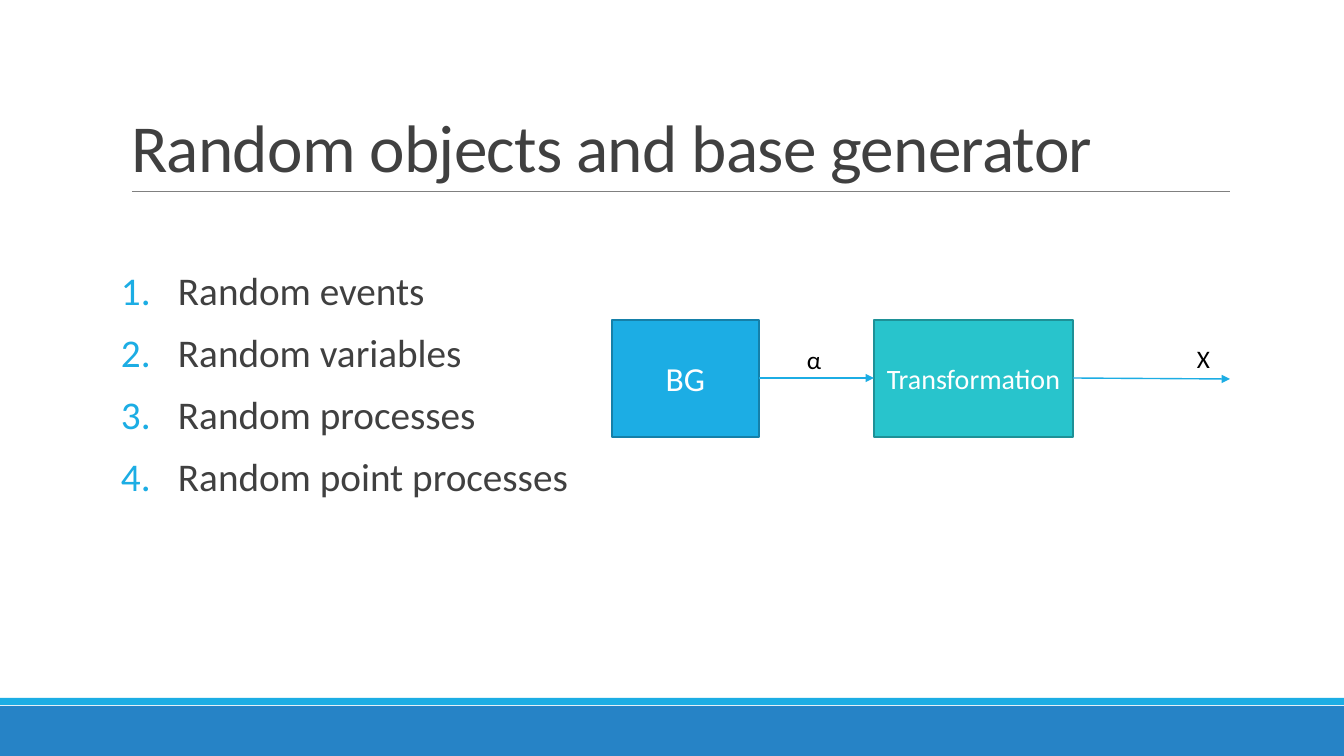
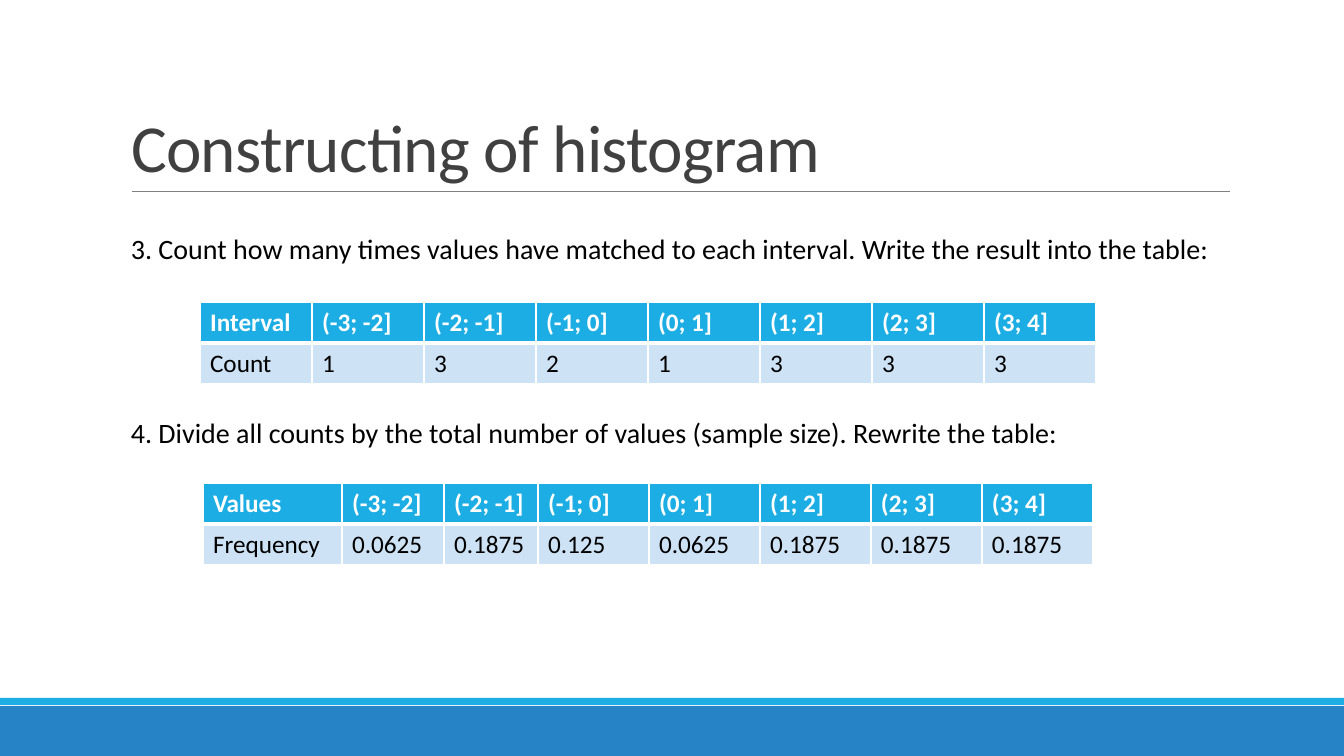
import pptx
import pptx.util
import pptx.dml.color
import pptx.enum.shapes
import pptx.enum.text
import pptx.oxml
import pptx.oxml.ns
from lxml import etree
from dataclasses import dataclass

PIXEL = pptx.util.Inches(1) / 100.8
ANCHOR = pptx.enum.text.MSO_ANCHOR
ALIGN = pptx.enum.text.PP_ALIGN
NO_FIT = pptx.enum.text.MSO_AUTO_SIZE.NONE


@dataclass(frozen=True)
class Theme:
    font: str = "Calibri"
    white: str = "FFFFFF"
    black: str = "000000"
    ink: str = "404040"
    rule: str = "808080"
    band: str = "2683C6"
    accent: str = "1CADE4"
    accent_edge: str = "1580A9"
    teal: str = "28C4CC"
    teal_edge: str = "1E9197"
    pale: str = "CDE3F5"
    title_size: int = 48
    list_size: int = 28
    block_size: int = 24
    text_size: int = 20
    label_size: int = 18


def px(*lengths):
    return [round(length * PIXEL) for length in lengths]


def rgb(value):
    return pptx.dml.color.RGBColor.from_string(value)


def add_element(parent, tag, **attributes):
    return etree.SubElement(parent, pptx.oxml.ns.qn(tag), attributes)


class Deck:
    def __init__(self, theme):
        self.theme = theme
        self.presentation = pptx.Presentation()
        self.presentation.slide_width, self.presentation.slide_height = px(1344, 756)
        self.slide = None

    # Slide frame: bands, rule and title
    def new_slide(self, layout, title):
        theme = self.theme
        self.slide = self.presentation.slides.add_slide(
            self.presentation.slide_layouts.get_by_name(layout))
        self.box((0, 706, 1344, 50), theme.band)
        self.box((0, 698, 1344, 7), theme.accent)
        self.line((132, 191), (1230, 191), theme.rule, 0.5)
        frame = self.place(self.slide.shapes.title, (121, 31, 1109, 160))
        frame.vertical_anchor = ANCHOR.BOTTOM
        paragraph = frame.paragraphs[0]
        paragraph.alignment = ALIGN.LEFT
        paragraph.line_spacing = 0.85
        run = self.run(paragraph, title, theme.title_size, theme.ink)
        run.font._element.set("spc", "-50")

    def place(self, placeholder, bounds):
        (placeholder.left, placeholder.top,
         placeholder.width, placeholder.height) = px(*bounds)
        frame = placeholder.text_frame
        frame.word_wrap = True
        frame.auto_size = NO_FIT
        return frame

    def run(self, paragraph, text, size, color, bold=False):
        run = paragraph.add_run()
        run.text = text
        run.font.name = self.theme.font
        run.font.size = pptx.util.Pt(size)
        run.font.bold = bold
        run.font.color.rgb = rgb(color)
        return run

    def numbered_list(self, bounds, items):
        theme = self.theme
        frame = self.place(self.slide.placeholders[1], bounds)
        frame.margin_left = frame.margin_right = 0
        frame.vertical_anchor = ANCHOR.TOP
        indent = px(57)[0]
        for index, item in enumerate(items):
            paragraph = frame.add_paragraph() if index else frame.paragraphs[0]
            paragraph.line_spacing = 0.9
            paragraph.space_before = pptx.util.Pt(12)
            paragraph.space_after = pptx.util.Pt(2)
            properties = paragraph._p.get_or_add_pPr()
            properties.set("marL", str(indent))
            properties.set("indent", str(-indent))
            color = add_element(properties, "a:buClr")
            add_element(color, "a:srgbClr", val=theme.accent)
            add_element(properties, "a:buFont", typeface=theme.font)
            add_element(properties, "a:buAutoNum", type="arabicPeriod")
            self.run(paragraph, item, theme.list_size, theme.ink)

    def box(self, bounds, fill, edge=None, text=None, size=None):
        shape = self.slide.shapes.add_shape(
            pptx.enum.shapes.MSO_SHAPE.RECTANGLE, *px(*bounds))
        shape.shadow.inherit = False
        shape.fill.solid()
        shape.fill.fore_color.rgb = rgb(fill)
        if edge:
            shape.line.color.rgb = rgb(edge)
            shape.line.width = pptx.util.Pt(1.25)
        else:
            shape.line.fill.background()
        if text:
            shape.text_frame.word_wrap = True
            shape.text_frame.vertical_anchor = ANCHOR.MIDDLE
            paragraph = shape.text_frame.paragraphs[0]
            paragraph.alignment = ALIGN.CENTER
            self.run(paragraph, text, size, self.theme.white)

    def line(self, start, end, color, width, arrow=False):
        connector = self.slide.shapes.add_connector(
            pptx.enum.shapes.MSO_CONNECTOR.STRAIGHT, *px(*start, *end))
        connector.line.color.rgb = rgb(color)
        connector.line.width = pptx.util.Pt(width)
        if arrow:
            add_element(connector.line._get_or_add_ln(), "a:tailEnd", type="triangle")
        add_element(connector._element.spPr, "a:effectLst")

    def text(self, bounds, text, size):
        frame = self.slide.shapes.add_textbox(*px(*bounds)).text_frame
        frame.word_wrap = False
        self.run(frame.paragraphs[0], text, size, self.theme.black)

    def table(self, left, top, widths, rows, row_height=41):
        theme = self.theme
        table = self.slide.shapes.add_table(
            len(rows), len(widths),
            *px(left, top, sum(widths), row_height * len(rows))).table
        for column, width in zip(table.columns, px(*widths)):
            column.width = width
        for row_index, row in enumerate(rows):
            header = row_index == 0
            for column_index, text in enumerate(row):
                cell = table.cell(row_index, column_index)
                self.borders(cell, top=1 if header else 3, bottom=3 if header else 1)
                cell.fill.solid()
                cell.fill.fore_color.rgb = rgb(theme.accent if header else theme.pale)
                self.run(cell.text_frame.paragraphs[0], text, theme.label_size,
                         theme.white if header else theme.black, header)

    def borders(self, cell, top, bottom):
        properties = cell._tc.get_or_add_tcPr()
        for side, width in (("L", 1), ("R", 1), ("T", top), ("B", bottom)):
            border = add_element(properties, "a:ln" + side, w=str(pptx.util.Pt(width)))
            fill = add_element(border, "a:solidFill")
            add_element(fill, "a:srgbClr", val=self.theme.white)


theme = Theme()
deck = Deck(theme)

# Slide 1: random objects and the generator diagram
deck.new_slide("Title and Content", "Random objects and base generator")
deck.numbered_list((121, 267, 480, 380), [
    "Random events", "Random variables", "Random processes", "Random point processes"])
deck.box((612, 320, 147, 117), theme.accent, theme.accent_edge, "BG", theme.block_size)
deck.box((874, 320, 199, 117), theme.teal, theme.teal_edge,
         "Transformation", theme.text_size)
deck.line((759, 378), (874, 378), theme.accent, 1, arrow=True)
deck.line((1073, 378), (1230, 379), theme.accent, 1, arrow=True)
deck.text((797, 339, 35, 40), "α", theme.label_size)
deck.text((1187, 338, 33, 40), "X", theme.label_size)

# Slide 2: counts and frequencies
deck.new_slide("Title Only", "Constructing of histogram")
intervals = [f"({low}; {low + 1}]" for low in range(-3, 4)]
counts = [1, 3, 2, 1, 3, 3, 3]
frequencies = [count / sum(counts) for count in counts]
deck.text((121, 227, 1102, 44),
          "3. Count how many times values have matched to each interval. "
          "Write the result into the table:", theme.text_size)
deck.table(200, 302, [112] * 8,
           [["Interval", *intervals], ["Count", *map(str, counts)]])
deck.text((121, 411, 956, 44),
          "4. Divide all counts by the total number of values (sample size). "
          "Rewrite the table:", theme.text_size)
deck.table(203, 483, [139, 102, 94] + [111] * 5,
           [["Values", *intervals], ["Frequency", *map(str, frequencies)]])

deck.presentation.save("out.pptx")
